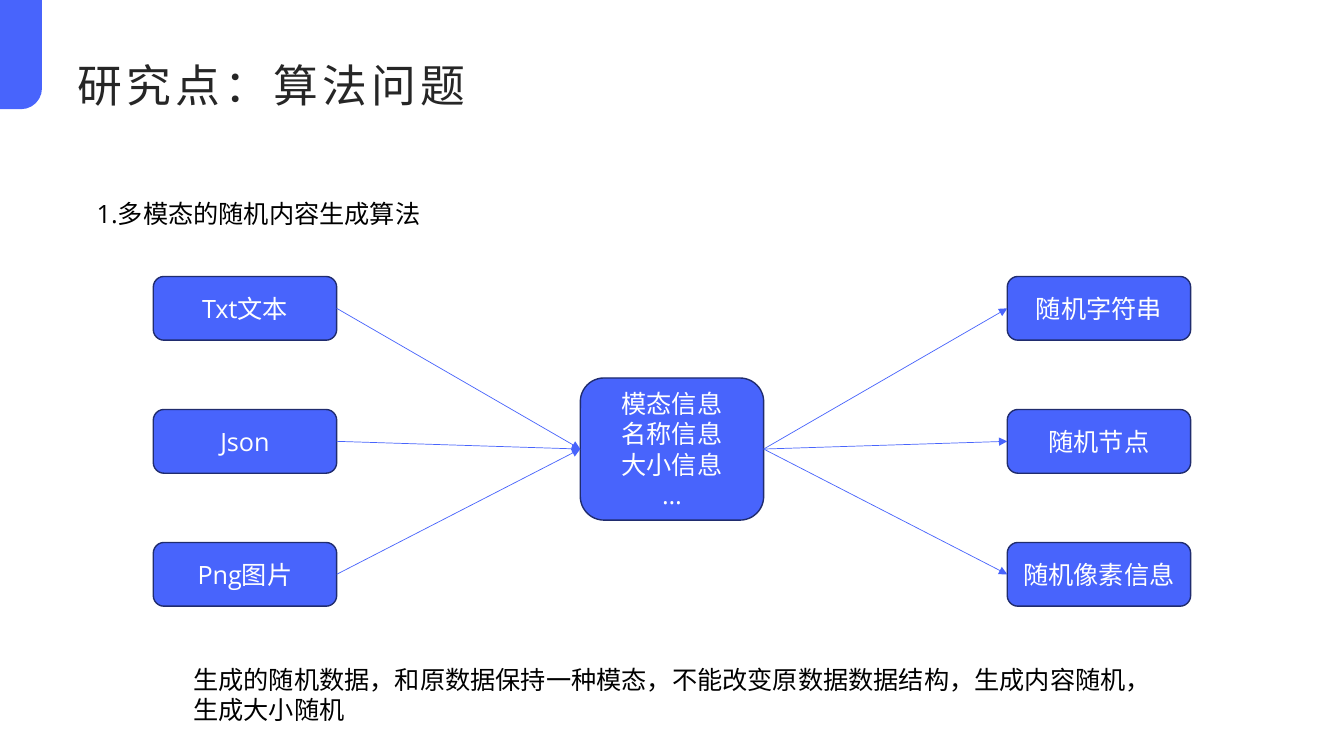
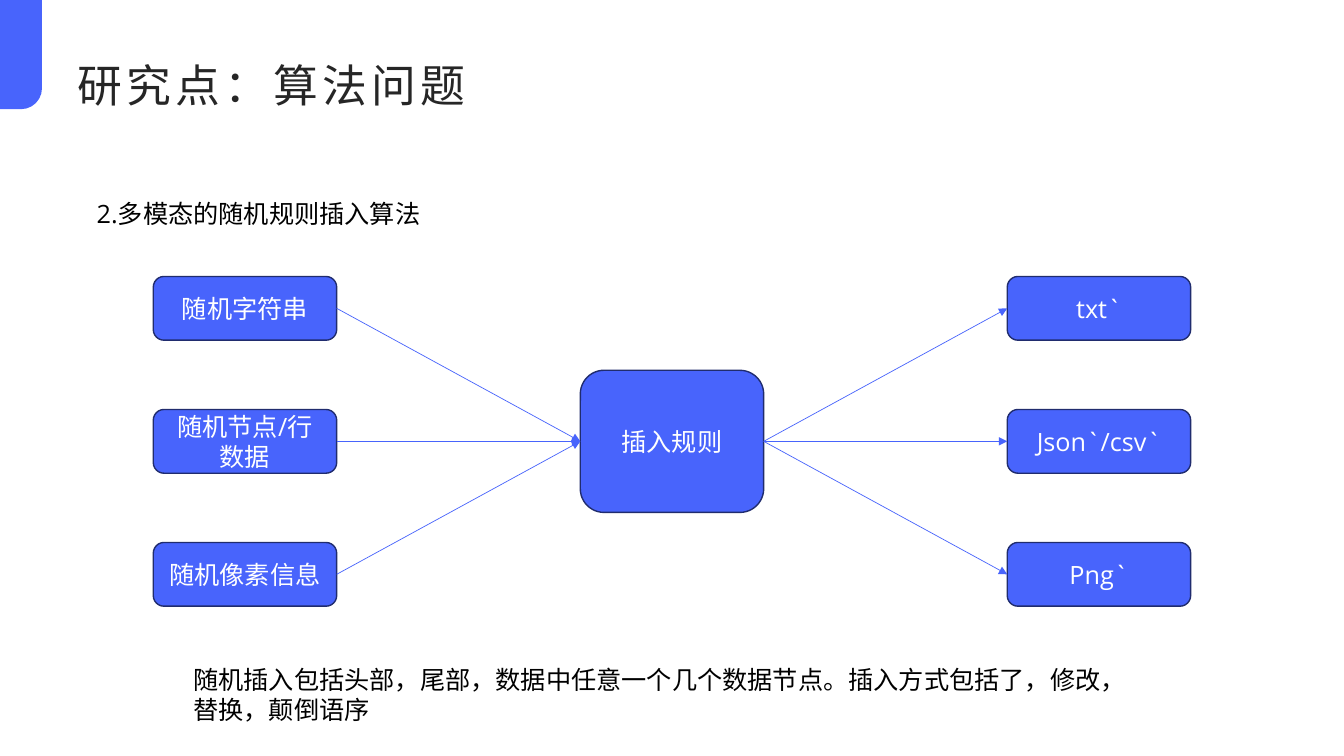
from lxml import etree
from pptx import Presentation
from pptx import util as u
from pptx.dml import color
from pptx.enum import shapes, text
from pptx.oxml import ns

Pt = u.Pt
BLUE, EDGE, DARK, BLACK, WHITE = "4864FC", "202C6E", "262626", "000000", "FFFFFF"
HEAD, BODY = "Karla", "Open Sans"
LEFT, RIGHT = text.PP_ALIGN.LEFT, 3
CENTER = text.PP_ALIGN.CENTER


def paint(fmt, tone):
    """Give a fill or a font colour a hex tone."""
    if hasattr(fmt, "solid"):
        fmt.solid()
        fmt = fmt.fore_color
    fmt.rgb = color.RGBColor.from_string(tone)


def write(frame, lines, tone, align=LEFT, size=18, font=BODY):
    """Fill a text frame, one run per paragraph; return the last run."""
    frame.word_wrap = True
    for i, line in enumerate(lines):
        para = frame.paragraphs[0] if i == 0 else frame.add_paragraph()
        para.alignment = align
        run = para.add_run()
        run.text = line
        run.font.size, run.font.name = Pt(size), font
        paint(run.font.color, tone)
    return run


# What each slide says
pages = [
    dict(
        topic="1.多模态的随机内容生成算法",
        ins=["Txt文本", "Json", "Png图片"],
        hub=["模态信息", "名称信息", "大小信息", "…"],
        top=270,
        outs=["随机字符串", "随机节点", "随机像素信息"],
        note="生成的随机数据，和原数据保持一种模态，不能改变原数据数据结构，"
             "生成内容随机，生成大小随机",
    ),
    dict(
        topic="2.多模态的随机规则插入算法",
        ins=["随机字符串", "随机节点/行数据", "随机像素信息"],
        hub=["插入规则"],
        top=264.5,
        outs=["txt`", "Json`/csv`", "Png`"],
        note="随机插入包括头部，尾部，数据中任意一个几个数据节点。"
             "插入方式包括了，修改，替换，颠倒语序",
    ),
]

# Grid of the diagram
WIDE, HIGH, TALL = 131, 45.5, 101.5
COLS = [109.5, 414.5, 719.5]
TOP, STEP = 197.5, 95

deck = Presentation()
deck.slide_width, deck.slide_height = Pt(960), Pt(540)
plan = deck.slide_layouts[5]

# Shared title place
name = plan.placeholders[0]
name.left, name.top, name.width, name.height = Pt(48), Pt(30), Pt(864), Pt(53.5)
name.text_frame.vertical_anchor = text.MSO_ANCHOR.BOTTOM
name.text_frame.auto_size = text.MSO_AUTO_SIZE.NONE

for n, page in enumerate(pages):
    slide = deck.slides.add_slide(plan)
    draw = slide.shapes

    # Corner band, moved to the layout so every slide has it
    if n == 0:
        band = draw.add_shape(shapes.MSO_SHAPE.ROUND_1_RECTANGLE,
                              Pt(-24), Pt(24), Pt(78), Pt(30))
        band.rotation = 90
        band.adjustments[0] = 0.5
        band.shadow.inherit = False
        paint(band.fill, BLUE)
        band.line.fill.background()
        plan.shapes.element.insert(2, band.element)

    # Title, topic and note
    run = write(draw.title.text_frame, ["研究点：算法问题"], DARK, size=32, font=HEAD)
    run.font.element.set("spc", "300") if hasattr(run.font, "element") else \
        run._r.get_or_add_rPr().set("spc", "300")
    for line, x, y, w, h in [(page["topic"], 62, 138, 358, 29),
                             (page["note"], 131, 471, 694, 51)]:
        area = draw.add_textbox(Pt(x), Pt(y), Pt(w), Pt(h))
        write(area.text_frame, [line], BLACK)

    # Boxes: three inputs, the hub, three outputs
    cells = [(COLS[1], page["top"], TALL, page["hub"])]
    for x, side in ((COLS[0], "ins"), (COLS[2], "outs")):
        cells += [(x, TOP + i * STEP, HIGH, [word])
                  for i, word in enumerate(page[side])]
    made = []
    for x, y, h, lines in cells:
        box = draw.add_shape(shapes.MSO_SHAPE.ROUNDED_RECTANGLE,
                             Pt(x), Pt(y), Pt(WIDE), Pt(h))
        box.shadow.inherit = False
        paint(box.fill, BLUE)
        paint(box.line.fill, EDGE)
        box.line.width = Pt(1)
        box.text_frame.vertical_anchor = text.MSO_ANCHOR.MIDDLE
        write(box.text_frame, lines, WHITE, CENTER)
        made.append(box)

    # Arrows: inputs to hub, hub to outputs
    hub, ins, outs = made[0], made[1:4], made[4:]
    for start, end in [(box, hub) for box in ins] + [(hub, box) for box in outs]:
        link = draw.add_connector(shapes.MSO_CONNECTOR.STRAIGHT, 0, 0, 0, 0)
        link.begin_connect(start, 3)
        link.end_connect(end, 1)
        paint(link.line.fill, BLUE)
        link.line.width = Pt(0.5)
        etree.SubElement(link.line._get_or_add_ln(), ns.qn("a:tailEnd"), type="triangle")
        etree.SubElement(link.element.spPr, ns.qn("a:effectLst"))

deck.save("out.pptx")
